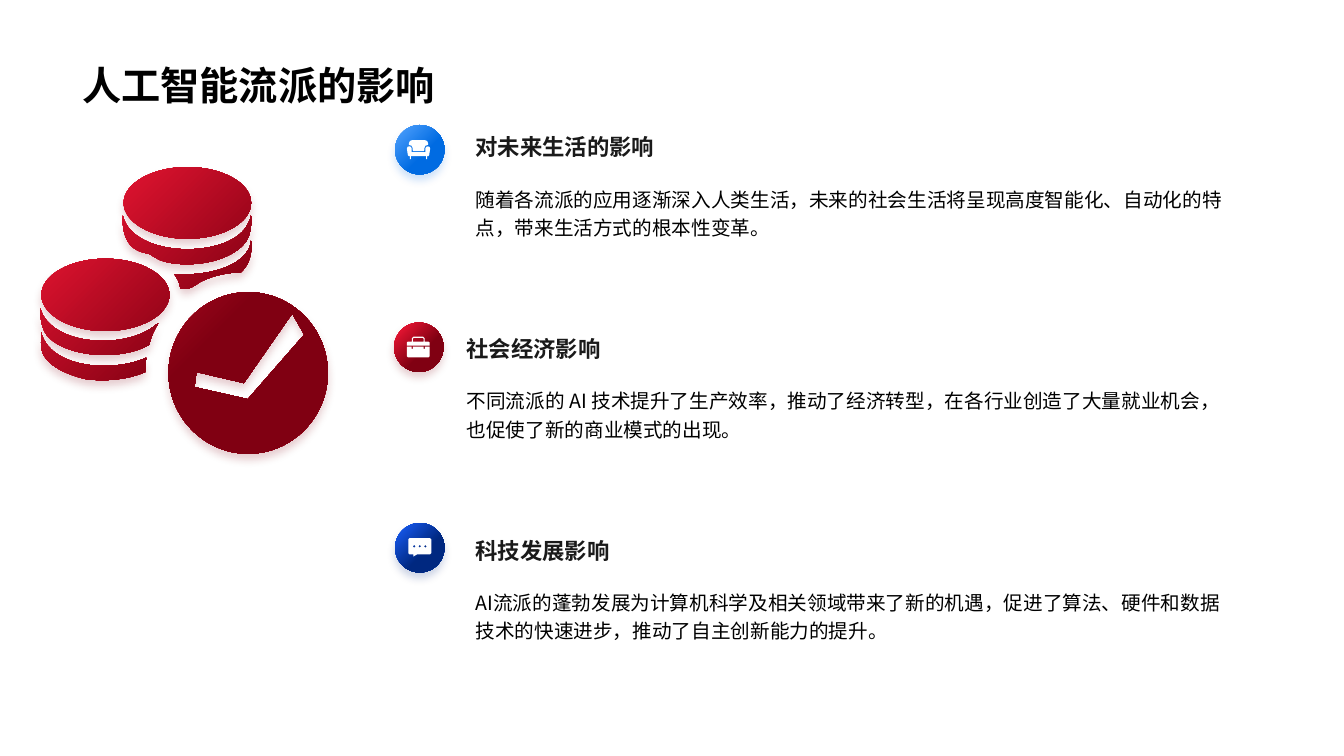
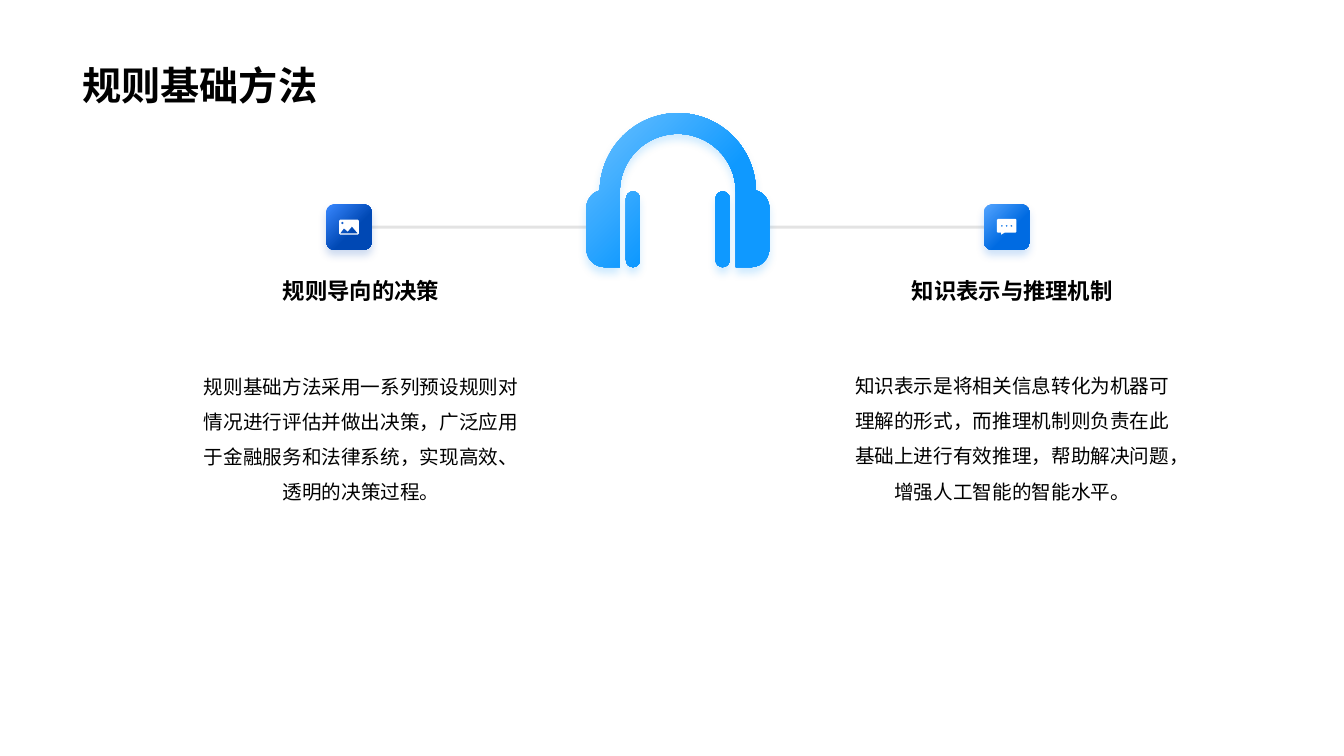
from lxml import etree
from pptx import Presentation
from pptx.dml.color import RGBColor
from pptx.enum.shapes import MSO_CONNECTOR, MSO_SHAPE
from pptx.enum.text import MSO_ANCHOR, MSO_AUTO_SIZE, PP_ALIGN
from pptx.oxml.ns import qn
from pptx.util import Pt

OVAL = MSO_SHAPE.OVAL
ROUNDED = MSO_SHAPE.ROUNDED_RECTANGLE
STRAIGHT = MSO_CONNECTOR.STRAIGHT
TOP, BOTTOM = MSO_ANCHOR.TOP, MSO_ANCHOR.BOTTOM
LEFT, CENTER = PP_ALIGN.LEFT, PP_ALIGN.CENTER
FIT_TEXT = MSO_AUTO_SIZE.SHAPE_TO_FIT_TEXT

FONT, LATIN_FONT = "Noto Sans CJK SC", "Arial"
BLACK, INK, WHITE, RULE = "000000", "1A1A1A", "FFFFFF", "808080"
RED = ("FF1A3A", "800012")
SKY = ("6FC2FF", "0F99FF")
BLUE = ("55A5FF", "006BE2")
NAVY = ("1A61FF", "002880")
COBALT = ("3988FF", "0048B4")


def rgb(value):
    return RGBColor.from_string(value)


def oval(cx, cy, rx, ry):
    kx, ky = 0.55 * rx, 0.55 * ry
    left, right, top, bottom = cx - rx, cx + rx, cy - ry, cy + ry
    return [(right, cy), (right, cy + ky, cx + kx, bottom, cx, bottom),
            (cx - kx, bottom, left, cy + ky, left, cy),
            (left, cy - ky, cx - kx, top, cx, top),
            (cx + kx, top, right, cy - ky, right, cy)]


def pairs(step):
    return list(zip(step[::2], step[1::2]))


def mirror(step, axis):
    return tuple(value for x, y in pairs(step) for value in (2 * axis - x, y))


def symmetric(half, axis=0):
    returning = []
    for before, step in reversed(list(zip(half, half[1:]))):
        controls = step[2:4] + step[:2] if len(step) == 6 else ()
        returning.append(mirror(controls + before[-2:], axis))
    return half + returning


def plate(w, top, bottom):
    return symmetric([(0, top), (w - 0.8, top), (w, top, w, top, w, top + 0.8),
                      (w, bottom - 0.8), (w, bottom, w, bottom, w - 0.8, bottom),
                      (0, bottom)])


SOFA = [
    symmetric([(0, 1.8), (4.9, 1.8), (4.9, -1), (5, -2.9, 8.6, -2.9, 8.3, -0.7),
               (7.6, 4), (7, 4.7), (6.1, 4.7), (6.1, 6.8), (5.4, 6.8),
               (5.4, 4.7), (0, 4.7)]),
    symmetric([(0, -6.8), (4.6, -6.8), (5.8, -6.8, 6.8, -6, 6.8, -4.7),
               (6.8, -3.4), (5.2, -3.4, 4.3, -2.5, 4.3, -1.5),
               (4, 1.1), (0, 1.1)]),
]
BRIEFCASE = [
    symmetric([(0, -0.4), (3.9, -0.4), (3.9, 1.1), (4.7, 1.1), (4.7, -0.4),
               (8.2, -0.4), (8.2, 6.3), (7.2, 7.3), (0, 7.3)]),
    symmetric([(0, -7.5), (3.4, -7.5), (4.5, -6.4), (4.5, -4), (7.4, -4),
               (8.2, -3.2), (8.2, -1.1), (0, -1.1)]),
    symmetric([(0, -6.7), (3.2, -6.7), (3.8, -6), (3.8, -4), (0, -4)]),
]
SPEECH = [plate(8.2, -6.8, 4.7), [(-1.8, 4.7), (-4.6, 6.3), (-4.6, 4.7)]]
SPEECH += [oval(x, -1, 1, 1) for x in (-4, 0, 4)]
PHOTO = [
    plate(7, -5.4, 5.4),
    [(-6.3, 4.5), (-3.6, 0.9), (-0.9, 3.2), (2.1, -0.4), (6.3, 4.5)],
    oval(-4.7, -2.9, 1.1, 1.1),
]
COINS = [
    oval(133.9, 144.9, 45.5, 25.6),
    [(97.9, 178.6), (100, 180, 103.7, 180.7, 106.6, 181.4),
     (109.4, 182.9, 112.3, 185, 114.5, 185.8),
     (123.8, 189.4, 138.2, 189.4, 149, 187.2),
     (159.8, 185, 169.9, 180, 175, 173.5),
     (178.6, 169.2, 180, 162, 179.3, 154.1),
     (178.6, 157, 177.8, 159.1, 176.4, 161.3),
     (162.7, 185, 95, 184.3, 87.8, 154.1),
     (87.1, 166.3, 90.7, 175, 97.9, 178.6)],
    [(124.6, 195.8), (126.7, 198.7, 128.2, 201.6, 128.9, 205.9),
     (136.1, 207.4, 139, 203.8, 142.6, 201.6),
     (151.2, 197.3, 159.1, 195.1, 172.1, 194.4),
     (177.1, 190.1, 180.7, 182.2, 179.3, 172.1),
     (178.6, 173.5, 178.6, 175, 178.6, 175.7),
     (172.8, 191.5, 146.2, 197.3, 124.6, 195.8)],
    oval(75.3, 210.6, 45.7, 25.8),
    [(111.6, 231.8), (91.4, 249.8, 36.7, 247.7, 28.8, 220.3),
     (28.8, 229, 30.2, 235.4, 33.8, 239.8),
     (47.5, 255.6, 87.1, 257.8, 106.6, 246.2),
     (108, 240.5, 110.2, 235.4, 113, 231.1)],
    [(29.5, 237.6), (29.5, 241.9, 28.8, 247.7, 30.2, 251.3),
     (33.8, 261.4, 48.2, 267.8, 61.2, 270.7),
     (75.6, 272.9, 92.9, 270.7, 103.7, 265.7),
     (103.7, 262.1, 104.4, 258.5, 104.4, 255.6),
     (79.9, 266.4, 36, 262.8, 29.5, 237.6)],
    oval(177.3, 266.4, 56.9, 57.7),
    [(177.1, 285.1), (139, 276.5), (140.4, 265.7), (174.2, 273.6),
     (208.8, 223.9), (217.4, 239)],
]
HEADSET_AXIS = 484.2
HEADSET_EDGE = 549.6
EAR_PAD = [(511.2, 141.8), (511.2, 139, 513.5, 136.8, 516.2, 136.8),
           (519, 136.8, 521.2, 139, 521.2, 141.8), (521.2, 185.8),
           (521.2, 188.6, 519, 190.8, 516.2, 190.8),
           (513.5, 190.8, 511.2, 188.6, 511.2, 185.8)]
HEADSET = [
    symmetric([(HEADSET_AXIS, 80.8), (515, 80.8, 539.5, 105.8, 540, 136.1),
               (545.8, 137.5, HEADSET_EDGE, 143, HEADSET_EDGE, 149),
               (HEADSET_EDGE, 177.1),
               (HEADSET_EDGE, 185, 543.6, 190.8, 536.4, 190.8),
               (525.6, 190.8), (525.6, 136.8),
               (525.6, 113.8, 506.9, 95.6, HEADSET_AXIS, 95.6)], HEADSET_AXIS),
    EAR_PAD,
    [mirror(step, HEADSET_AXIS) for step in EAR_PAD],
]


def curve_segments(outline, contours):
    route = next(outline._element.iter(qn("a:path")))
    segments = iter(list(route))
    for contour in contours:
        next(segments)
        for step in contour[1:]:
            segment = next(segments)
            if len(step) == 6:
                segment.tag = qn("a:cubicBezTo")
                for _ in range(2):
                    merged = next(segments)
                    segment.append(merged[0])
                    route.remove(merged)
        next(segments)


def add_outline(shapes, contours, dx=0, dy=0, scale=1):
    placed = [[(Pt(dx + x * scale), Pt(dy + y * scale))
               for step in contour for x, y in pairs(step)] for contour in contours]
    builder = shapes.build_freeform(*placed[0][0])
    for i, contour in enumerate(placed):
        if i:
            builder.move_to(*contour[0])
        builder.add_line_segments(contour[1:], close=True)
    outline = builder.convert_to_shape()
    curve_segments(outline, contours)
    outline.line.fill.background()
    outline.shadow.inherit = False
    return outline


def add_glow(shape, colors):
    shape.line.fill.background()
    shape.fill.gradient()
    shape.fill.gradient_angle = 315
    for stop, color, position in zip(shape.fill.gradient_stops, colors, (0, 0.6)):
        stop.color.rgb = rgb(color)
        stop.position = position
    shape.shadow.inherit = False
    effects = shape._element.spPr.find(qn("a:effectLst"))
    shadow = etree.SubElement(effects, qn("a:outerShdw"), blurRad=str(Pt(6)),
                              dist=str(Pt(4)), dir="5400000", algn="t", rotWithShape="0")
    tone = etree.SubElement(shadow, qn("a:srgbClr"), val=colors[1])
    etree.SubElement(tone, qn("a:alpha"), val="20000")


def add_badge(slide, form, left, top, size, colors, icon, scale=1, nudge=0):
    group = slide.shapes.add_group_shape()
    badge = group.shapes.add_shape(form, Pt(left), Pt(top), Pt(size), Pt(size))
    add_glow(badge, colors)
    glyph = add_outline(group.shapes, icon, left + size / 2 + nudge, top + size / 2, scale)
    glyph.fill.solid()
    glyph.fill.fore_color.rgb = rgb(WHITE)
    return badge


def add_text(slide, text, left, top, width, height, size, color=BLACK, bold=False,
             anchor=TOP, align=LEFT, spacing=None, grow=True, latin=FONT):
    box = slide.shapes.add_textbox(Pt(left), Pt(top), Pt(width), Pt(height))
    frame = box.text_frame
    frame.word_wrap = True
    frame.vertical_anchor = anchor
    if grow:
        frame.auto_size = FIT_TEXT
    paragraph = frame.paragraphs[0]
    paragraph.alignment = align
    paragraph.line_spacing = spacing
    run = paragraph.add_run()
    run.text = text
    run.font.size = Pt(size)
    run.font.bold = bold
    run.font.color.rgb = rgb(color)
    run.font.name = latin
    properties = run._r.get_or_add_rPr()
    properties.set("lang", "zh-CN")
    etree.SubElement(properties, qn("a:ea"), typeface=FONT)


def add_titled_slide(deck, title, latin=FONT):
    slide = deck.slides.add_slide(deck.slide_layouts[6])
    add_text(slide, title, 51.8, 0, 855.4, 80.6, 28, bold=True, anchor=BOTTOM,
             grow=False, latin=latin)
    return slide


def add_link(slide, start, end, y, badge=None):
    link = slide.shapes.add_connector(STRAIGHT, Pt(start), Pt(y), Pt(end), Pt(y))
    if badge is not None:
        link.end_connect(badge, 3)
    link.line.color.rgb = rgb(RULE)
    link.line.width = Pt(2.25)
    tone = next(link._element.spPr.iter(qn("a:srgbClr")))
    etree.SubElement(tone, qn("a:alpha"), val="22000")
    etree.SubElement(link._element.spPr, qn("a:effectLst"))
    slide.shapes._spTree.insert(2, link._element)


def build_impact(deck):
    slide = add_titled_slide(deck, "人工智能流派的影响", LATIN_FONT)
    add_glow(add_outline(slide.shapes, COINS), RED)
    impacts = [
        ("对未来生活的影响",
         "随着各流派的应用逐渐深入人类生活，未来的社会生活将呈现高度智能化、自动化的特点，带来生活方式的根本性变革。",
         332.6, 91.6, 282.2, 89.3, BLUE, SOFA, -0.9),
        ("社会经济影响",
         "不同流派的 AI 技术提升了生产效率，推动了经济转型，在各行业创造了大量就业机会，也促使了新的商业模式的出现。",
         326.2, 235.8, 281.5, 230.4, RED, BRIEFCASE, -0.4),
        ("科技发展影响",
         "AI流派的蓬勃发展为计算机科学及相关领域带来了新的机遇，促进了算法、硬件和数据技术的快速进步，推动了自主创新能力的提升。",
         332.6, 379.8, 282.2, 373.6, NAVY, SPEECH, 0),
    ]
    for heading, detail, left, top, badge_left, badge_top, colors, icon, nudge in impacts:
        add_badge(slide, OVAL, badge_left, badge_top, 35.3, colors, icon, nudge=nudge)
        add_text(slide, heading, left, top, 553, 26.6, 16, INK, True, BOTTOM)
        add_text(slide, detail, left, top + 35.4, 553, 66.2, 14, spacing=1.2)


def build_rules(deck):
    slide = add_titled_slide(deck, "规则基础方法")
    add_glow(add_outline(slide.shapes, HEADSET), SKY)
    methods = [
        ("规则导向的决策",
         "规则基础方法采用一系列预设规则对情况进行评估并做出决策，广泛应用于金融服务和法律系统，实现高效、透明的决策过程。",
         133.1, 255.6, 233.1, COBALT, PHOTO, 1),
        ("知识表示与推理机制",
         "知识表示是将相关信息转化为机器可理解的形式，而推理机制则负责在此基础上进行有效推理，帮助解决问题，增强人工智能的智能水平。",
         598.2, 255, 702.9, BLUE, SPEECH, 0.85),
    ]
    badges = []
    for heading, detail, left, top, badge_left, colors, icon, scale in methods:
        badges.append(add_badge(slide, ROUNDED, badge_left, 146, 32.4, colors, icon, scale))
        add_text(slide, heading, left, 194.4, 249.8, 26.6, 16, bold=True, align=CENTER)
        add_text(slide, detail, left, top, 249.8, 131.8, 14, align=CENTER, spacing=1.5)
    add_link(slide, 432.7, 247.7, 162.2)
    add_link(slide, HEADSET_EDGE, 735.3, 162.2, badges[1])


def main():
    deck = Presentation()
    deck.slide_width = Pt(960)
    deck.slide_height = Pt(540)
    build_impact(deck)
    build_rules(deck)
    deck.save("out.pptx")


if __name__ == "__main__":
    main()
